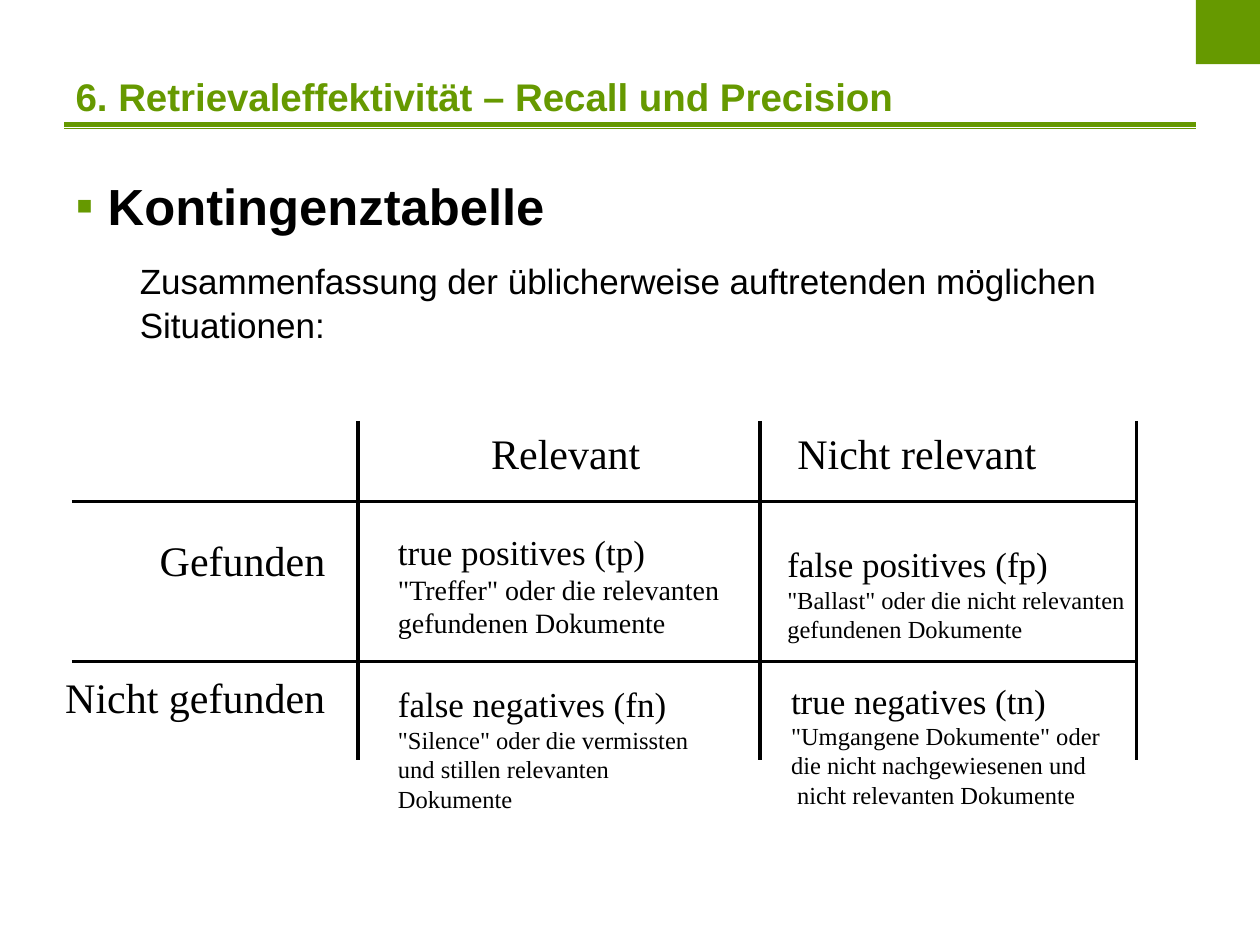
from lxml import etree
from pptx import Presentation
from pptx.dml.color import RGBColor
from pptx.enum.shapes import MSO_CONNECTOR, MSO_SHAPE
from pptx.enum.text import MSO_ANCHOR, MSO_AUTO_SIZE, PP_ALIGN
from pptx.oxml.ns import qn
from pptx.util import Inches, Pt

STRAIGHT = MSO_CONNECTOR.STRAIGHT
RECTANGLE = MSO_SHAPE.RECTANGLE
MIDDLE = MSO_ANCHOR.MIDDLE
FIXED = MSO_AUTO_SIZE.NONE
GROW = MSO_AUTO_SIZE.SHAPE_TO_FIT_TEXT
LEFT, RIGHT = PP_ALIGN.LEFT, PP_ALIGN.RIGHT

GREEN = RGBColor(0x66, 0x99, 0x00)
BLACK = RGBColor(0, 0, 0)

TABLE_LEFT, TABLE_TOP, TABLE_RIGHT, TABLE_BOTTOM = 0.57, 3.34, 9.02, 6.03
COLUMN_LINES = [2.84, 6.03, TABLE_RIGHT]
ROW_LINES = [3.98, 5.25]

HEADINGS = [
    ("Relevant", 3.8, 3.34, 1.65, LEFT),
    ("Nicht relevant", 6.23, 3.34, 2.28, LEFT),
    ("Gefunden", 1.03, 4.19, 1.65, RIGHT),
    ("Nicht gefunden", 0.32, 5.28, 2.36, RIGHT),
]
CELLS = [
    ("true positives (tp)",
     ['"Treffer" oder die relevanten', "gefundenen Dokumente"],
     16, 3.06, 4.16, 2.82, 0.97),
    ("false positives (fp)",
     ['"Ballast" oder die nicht relevanten', "gefundenen Dokumente"],
     14, 6.15, 4.26, 2.93, 1.14),
    ("false negatives (fn)",
     ['"Silence" oder die vermissten', "und stillen relevanten Dokumente"],
     14, 3.06, 5.37, 2.83, 1.14),
    ("true negatives (tn)",
     ['"Umgangene Dokumente" oder', "die nicht nachgewiesenen und",
      " nicht relevanten Dokumente"],
     14, 6.18, 5.34, 2.7, 1.37),
]


class SlideBuilder:
    sans = "Arial"
    serif = "Times New Roman"

    def __init__(self, slide):
        self.slide = slide

    def run(self, paragraph, text, size, font, color=BLACK, bold=False):
        run = paragraph.add_run()
        run.text = text
        run.font.name = font
        run.font.size = Pt(size)
        run.font.bold = bold
        run.font.color.rgb = color

    def place(self, shape, left, top, width, height):
        shape.left, shape.top = Inches(left), Inches(top)
        shape.width, shape.height = Inches(width), Inches(height)

    def line(self, start, end, color=BLACK, width=2.25):
        connector = self.slide.shapes.add_connector(
            STRAIGHT, *(Inches(value) for value in start + end))
        connector.line.color.rgb = color
        connector.line.width = Pt(width)
        etree.SubElement(connector._element.spPr, qn("a:effectLst"))

    def rectangle(self, left, top, width, height, color):
        shape = self.slide.shapes.add_shape(
            RECTANGLE, Inches(left), Inches(top), Inches(width), Inches(height))
        shape.shadow.inherit = False
        shape.fill.solid()
        shape.fill.fore_color.rgb = color
        shape.line.fill.background()

    def title(self, text):
        shape = self.slide.shapes.title
        self.place(shape, 0.5, 0.14, 9, 1.25)
        frame = shape.text_frame
        frame.auto_size = FIXED
        frame.vertical_anchor = MIDDLE
        paragraph = frame.paragraphs[0]
        paragraph.alignment = LEFT
        self.run(paragraph, text, 22, self.sans, GREEN, True)

    def body(self, heading, detail):
        shape = self.slide.placeholders[1]
        self.place(shape, 0.5, 1.31, 9, 5.39)
        frame = shape.text_frame
        frame.auto_size = FIXED
        first = frame.paragraphs[0]
        second = frame.add_paragraph()
        second.level = 1
        for paragraph, before, margin in ((first, 18.1, 0), (second, 12.5, 0.51)):
            paragraph.space_before = Pt(before)
            paragraph.line_spacing = 1.05
            properties = paragraph._p.get_or_add_pPr()
            properties.set("marL", str(Inches(margin)))
            properties.set("indent", "0")
        properties = first._p.get_or_add_pPr()
        bullet_color = etree.SubElement(properties, qn("a:buClr"))
        etree.SubElement(bullet_color, qn("a:srgbClr"), val=str(GREEN))
        etree.SubElement(properties, qn("a:buFont"), typeface=self.sans)
        etree.SubElement(properties, qn("a:buChar"), char="▪")
        etree.SubElement(second._p.get_or_add_pPr(), qn("a:buNone"))
        self.run(first, heading, 29, self.sans, bold=True)
        self.run(second, detail, 20, self.sans)

    def text_box(self, left, top, width, height, wrap):
        box = self.slide.shapes.add_textbox(
            Inches(left), Inches(top), Inches(width), Inches(height))
        frame = box.text_frame
        frame.word_wrap = wrap
        frame.auto_size = GROW
        return frame.paragraphs[0]

    def table_heading(self, text, left, top, width, alignment):
        paragraph = self.text_box(left, top, width, 0.5, True)
        paragraph.alignment = alignment
        self.run(paragraph, text, 24, self.serif)

    def table_cell(self, term, explanation, size, left, top, width, height):
        paragraph = self.text_box(left, top, width, height, False)
        self.run(paragraph, term, 20, self.serif)
        for text in explanation:
            paragraph.add_line_break()
            self.run(paragraph, text, size, self.serif)


def main():
    presentation = Presentation()
    presentation.slide_width = Inches(10)
    presentation.slide_height = Inches(7.5)
    slide = presentation.slides.add_slide(presentation.slide_layouts[1])
    builder = SlideBuilder(slide)

    for y, width in ((0.99, 2.75), (1.02, 0.75)):
        builder.line((0.51, y), (9.49, y), GREEN, width)
    builder.rectangle(9.49, 0, 0.51, 0.51, GREEN)
    builder.title("6. Retrievaleffektivität – Recall und Precision")
    builder.body(" Kontingenztabelle",
                 "Zusammenfassung der üblicherweise auftretenden "
                 "möglichen Situationen:")

    for y in ROW_LINES:
        builder.line((TABLE_LEFT, y), (TABLE_RIGHT, y))
    for x in COLUMN_LINES:
        builder.line((x, TABLE_TOP), (x, TABLE_BOTTOM))
    for heading in HEADINGS:
        builder.table_heading(*heading)
    for cell in CELLS:
        builder.table_cell(*cell)

    presentation.save("out.pptx")


if __name__ == "__main__":
    main()
